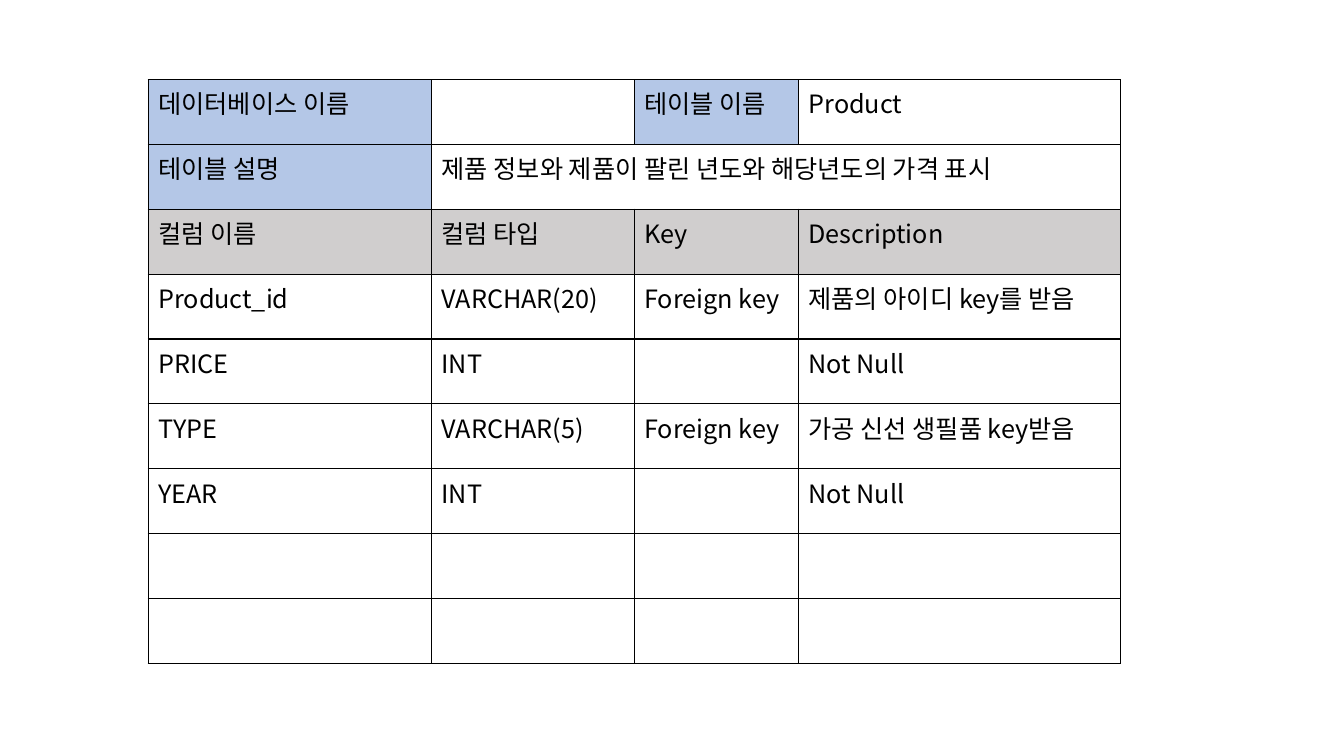
from lxml.etree import SubElement
from pptx import Presentation
from pptx.dml.color import RGBColor
from pptx.oxml.ns import qn
from pptx.util import Inches, Pt

COLORS = {"text": "000000", "border": "000000", "label": "B4C7E7", "header": "D0CECE", "plain": "FFFFFF"}
COLUMN_WIDTHS = [2.81, 2.01, 1.63, 3.19]
ROWS = [
    ["데이터베이스 이름", "", "테이블 이름", "Product"],
    ["테이블 설명", "제품 정보와 제품이 팔린 년도와 해당년도의 가격 표시", "", ""],
    ["컬럼 이름", "컬럼 타입", "Key", "Description"],
    ["Product_id", "VARCHAR(20)", "Foreign key", "제품의 아이디 key를 받음"],
    ["PRICE", "INT", "", "Not Null"],
    ["TYPE", "VARCHAR(5)", "Foreign key", "가공 신선 생필품 key받음"],
    ["YEAR", "INT", "", "Not Null"],
    [""] * 4,
    [""] * 4,
]
LABEL_CELLS = {(0, 0), (0, 2), (1, 0)}
HEADER_ROW = 2


class SlideBuilder:
    """Holds the style and the current slide, and draws table elements on it."""

    def __init__(self, slide, font, size):
        self.slide = slide
        self.font = font
        self.size = size

    def border(self, cell):
        properties = cell._tc.get_or_add_tcPr()
        for side in ("a:lnL", "a:lnR", "a:lnT", "a:lnB"):
            line = SubElement(properties, qn(side), w=str(Pt(1)))
            fill = SubElement(line, qn("a:solidFill"))
            SubElement(fill, qn("a:srgbClr"), val=COLORS["border"])

    def cell(self, cell, text, fill):
        self.border(cell)
        cell.fill.solid()
        cell.fill.fore_color.rgb = RGBColor.from_string(COLORS[fill])
        cell.text_frame.text = text
        paragraph = cell.text_frame.paragraphs[0]
        paragraph.font.size = self.size
        for run in paragraph.runs:
            run.font.size = self.size
            run.font.color.rgb = RGBColor.from_string(COLORS["text"])
            run.font.name = self.font
            SubElement(run.font._element, qn("a:ea"), typeface=self.font)

    def table(self, rows, widths, left, top, height):
        shape = self.slide.shapes.add_table(
            len(rows), len(widths), Inches(left), Inches(top), Inches(sum(widths)), Inches(height)
        )
        table = shape.table
        table.first_row = table.horz_banding = False
        for column, width in zip(table.columns, widths):
            column.width = Inches(width)
        for row_index, texts in enumerate(rows):
            for column_index, text in enumerate(texts):
                fill = "header" if row_index == HEADER_ROW else "plain"
                if (row_index, column_index) in LABEL_CELLS:
                    fill = "label"
                self.cell(table.cell(row_index, column_index), text, fill)
        return table


presentation = Presentation()
presentation.slide_width = Inches(13.33)
presentation.slide_height = Inches(7.5)
slide = presentation.slides.add_slide(presentation.slide_layouts[6])
builder = SlideBuilder(slide, "Noto Sans CJK KR", Pt(18))
schema_table = builder.table(ROWS, COLUMN_WIDTHS, 1.47, 0.79, 5.79)
schema_table.cell(1, 1).merge(schema_table.cell(1, 3))
presentation.save("out.pptx")
